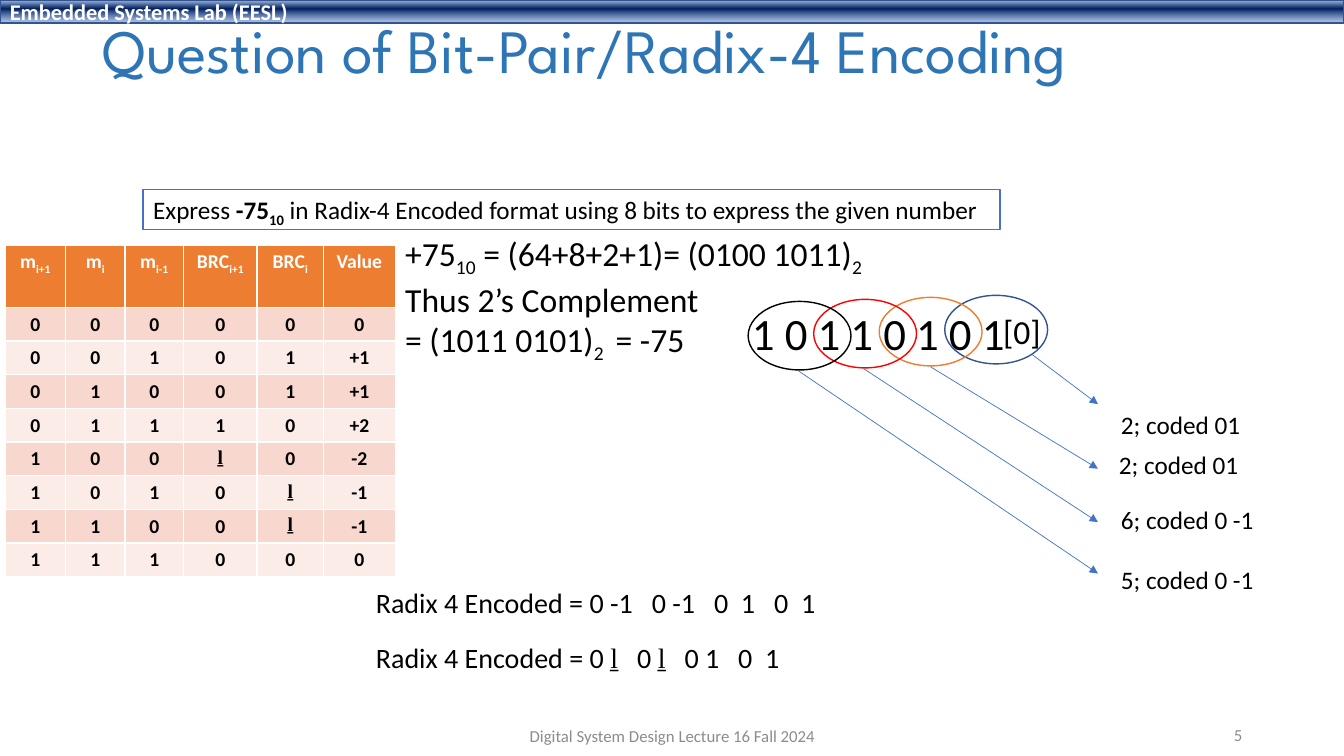
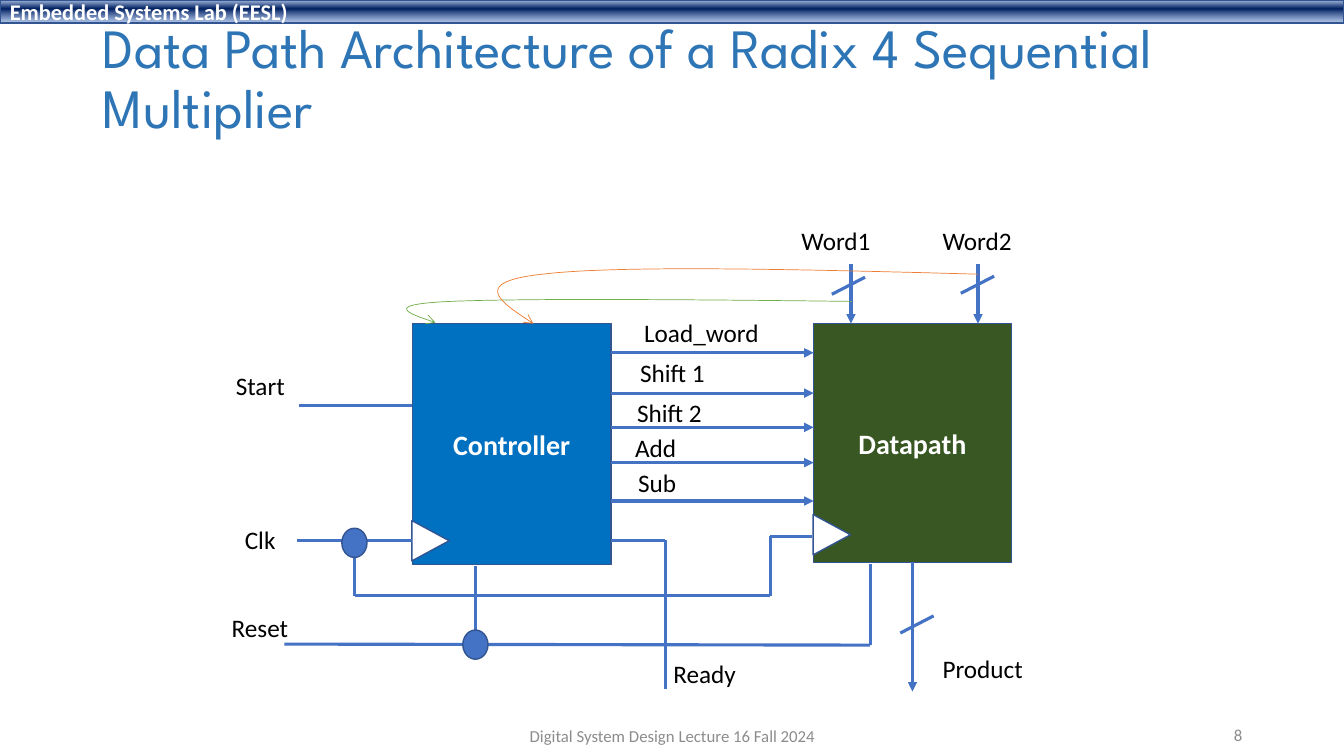
from dataclasses import dataclass
from itertools import pairwise

from lxml import etree
from pptx import Presentation
from pptx import util as u
from pptx.dml.color import RGBColor
from pptx.enum import shapes, text
from pptx.oxml.ns import qn

Inches, Pt = u.Inches, u.Pt
Point = tuple[float, float]
Box = tuple[float, float, float, float]

BODY, HEADING, SERIF = "Calibri", "League Spartan", "Times New Roman"
BLACK, WHITE, GRAY = "000000", "FFFFFF", "8C8C8C"
TITLE_BLUE, BLUE, EDGE = "2E75B6", "4472C4", "325491"
ORANGE, RED, GREEN = "ED7D31", "FF0000", "70AD47"
PEACH, PALE = "F8D7CE", "FCECE8"
BAND_STOPS = ((2, "ABC0E4", 100), (38, "002060", 100), (93, "7E9ED6", 64))
MINUS_ONE = "ḻ"


@dataclass(frozen=True)
class Run:
    """A stretch of text with its own style."""
    text: str
    sub: bool = False
    bold: bool = False
    font: str = BODY


@dataclass(frozen=True)
class Label:
    """A short line of text beside a drawing."""
    text: str
    left: float
    top: float
    width: float


@dataclass(frozen=True)
class Oval:
    """A group marker or a junction."""
    box: Box
    line: str
    fill: str | None = None


@dataclass(frozen=True)
class Block:
    """A named unit of the architecture with its clock input."""
    name: str
    box: Box
    fill: str
    clock: Point


@dataclass(frozen=True)
class Feedback:
    """A curved arrow made of cubic segments."""
    start: Point
    segments: tuple[tuple[Point, Point, Point], ...]
    color: str


def rgb(value: str) -> RGBColor:
    """Turn a hex string into a colour."""
    return RGBColor.from_string(value)


def lengths(values) -> list:
    """Turn numbers into lengths in inches."""
    return [Inches(value) for value in values]


def write(paragraph, runs, size: float, color: str = BLACK, align=None, bold: bool = False) -> None:
    """Add styled runs to a paragraph."""
    paragraph.alignment = align
    for part in runs:
        run = paragraph.add_run()
        run.text = part.text
        run.font.name, run.font.size = part.font, Pt(size)
        run.font.bold = bold or part.bold
        run.font.color.rgb = rgb(color)
        if part.sub:
            run._r.get_or_add_rPr().set("baseline", "-25000")


def add_text(slide, box: Box, paragraphs, size: float):
    """Add a box that fits its unwrapped paragraphs."""
    area = slide.shapes.add_textbox(*lengths(box))
    frame = area.text_frame
    frame.word_wrap = False
    frame.auto_size = text.MSO_AUTO_SIZE.SHAPE_TO_FIT_TEXT
    for index, runs in enumerate(paragraphs):
        write(frame.add_paragraph() if index else frame.paragraphs[0], runs, size)
    return area


def add_label(slide, label: Label) -> None:
    """Add a label."""
    add_text(slide, (label.left, label.top, label.width, 0.4), [[Run(label.text)]], 18)


def add_shape(slide, kind, box: Box, fill: str | None, line: str):
    """Add a preset shape with a thin outline."""
    shape = slide.shapes.add_shape(kind, *lengths(box))
    shape.shadow.inherit = False
    if fill:
        shape.fill.solid()
        shape.fill.fore_color.rgb = rgb(fill)
    else:
        shape.fill.background()
    shape.line.color.rgb, shape.line.width = rgb(line), Pt(1)
    return shape


def add_oval(slide, oval: Oval) -> None:
    """Add an ellipse."""
    add_shape(slide, shapes.MSO_SHAPE.OVAL, oval.box, oval.fill, oval.line)


def style_line(shape, color: str, width: float, head: str | None) -> None:
    """Set a line's colour, width and arrowhead."""
    shape.line.color.rgb, shape.line.width = rgb(color), Pt(width)
    if head:
        etree.SubElement(shape.get_or_add_ln(), qn("a:tailEnd"), type=head)


def add_line(slide, start: Point, end: Point, width: float = 2.25, head: str | None = None):
    """Add a straight connector."""
    line = slide.shapes.add_connector(shapes.MSO_CONNECTOR.STRAIGHT, *lengths(start + end))
    style_line(line, BLUE, width, head)
    etree.SubElement(line._element.spPr, qn("a:effectLst"))
    return line


def add_wire(slide, *points: Point) -> None:
    """Join points by straight connectors."""
    for start, end in pairwise(points):
        add_line(slide, start, end)


def bezier(p0: Point, p1: Point, p2: Point, p3: Point, steps: int = 30) -> list[Point]:
    """Give the points of a cubic curve after its start."""
    points = []
    for step in range(1, steps + 1):
        t = step / steps
        weights = ((1 - t) ** 3, 3 * t * (1 - t) ** 2, 3 * t * t * (1 - t), t ** 3)
        points.append(tuple(sum(w * p[axis] for w, p in zip(weights, (p0, p1, p2, p3)))
                            for axis in (0, 1)))
    return points


def add_feedback(slide, curve: Feedback) -> None:
    """Draw a curved arrow."""
    points, start = [], curve.start
    for segment in curve.segments:
        points += bezier(start, *segment)
        start = segment[-1]
    builder = slide.shapes.build_freeform(*lengths(curve.start))
    builder.add_line_segments([lengths(point) for point in points], close=False)
    arrow = builder.convert_to_shape()
    arrow.shadow.inherit = False
    arrow.fill.background()
    style_line(arrow, curve.color, 0.5, "arrow")


def add_band(slide) -> None:
    """Add the gradient band with the lab's name."""
    band = add_shape(slide, shapes.MSO_SHAPE.RECTANGLE, (0, 0, 13.33, 0.23), None, EDGE)
    band.fill.gradient()
    band.fill.gradient_angle = 270
    stops = band._element.spPr.find(".//" + qn("a:gsLst"))
    for old in list(stops):
        stops.remove(old)
    for position, color, alpha in BAND_STOPS:
        stop = etree.SubElement(stops, qn("a:gs"), pos=str(position * 1000))
        tint = etree.SubElement(stop, qn("a:srgbClr"), val=color)
        if alpha < 100:
            etree.SubElement(tint, qn("a:alpha"), val=str(alpha * 1000))
    band.text_frame.vertical_anchor = text.MSO_ANCHOR.MIDDLE
    write(band.text_frame.paragraphs[0], [Run("Embedded Systems Lab (EESL)")], 16, WHITE,
          text.PP_ALIGN.LEFT, bold=True)


def add_footer(slide, content: str, box: Box, align) -> None:
    """Add a grey footer text."""
    frame = slide.shapes.add_textbox(*lengths(box)).text_frame
    frame.word_wrap = True
    frame.vertical_anchor = text.MSO_ANCHOR.MIDDLE
    write(frame.paragraphs[0], [Run(content)], 12, GRAY, align)


def start_slide(deck, heading: str, size: float, height: float, number: int):
    """Add a slide with band, title and footers."""
    slide = deck.slides.add_slide(deck.slide_layouts[5])
    add_band(slide)
    title = slide.shapes.title
    title.left, title.top, title.width, title.height = lengths((0.92, 0.15, 11.5, height))
    frame = title.text_frame
    frame.word_wrap = True
    frame.auto_size = text.MSO_AUTO_SIZE.NONE
    frame.vertical_anchor = text.MSO_ANCHOR.MIDDLE
    frame.paragraphs[0].line_spacing = 0.9
    write(frame.paragraphs[0], [Run(heading, font=HEADING)], size, TITLE_BLUE, text.PP_ALIGN.LEFT)
    add_footer(slide, "Digital System Design Lecture 16 Fall 2024", (4.42, 7.1, 4.5, 0.4),
               text.PP_ALIGN.CENTER)
    add_footer(slide, str(number), (9.42, 7.09, 3, 0.4), text.PP_ALIGN.RIGHT)
    return slide


def add_recoding_table(slide) -> None:
    """Add the bit-pair recoding table."""
    header = (("m", "i+1"), ("m", "i"), ("m", "i-1"), ("BRC", "i+1"), ("BRC", "i"), ("Value", ""))
    codes = (("0", "0", "0"), ("0", "1", "+1"), ("0", "1", "+1"), ("1", "0", "+2"),
             (MINUS_ONE, "0", "-2"), ("0", MINUS_ONE, "-1"), ("0", MINUS_ONE, "-1"), ("0", "0", "0"))
    rows = [[[Run(name)] + ([Run(index, sub=True)] if index else []) for name, index in header]]
    for bits, code in enumerate(codes):
        rows.append([[Run(value, font=SERIF if value == MINUS_ONE else BODY)]
                     for value in (*f"{bits:03b}", *code)])
    table = slide.shapes.add_table(len(rows), len(header),
                                   *lengths((0.05, 2.43, 3.87, 3.26))).table
    for column, width in zip(table.columns, (0.6, 0.59, 0.58, 0.73, 0.66, 0.71)):
        column.width = Inches(width)
    for index, row in enumerate(rows):
        table.rows[index].height = Inches(0.33 if index else 0.62)
        fill = (PEACH if index % 2 else PALE) if index else ORANGE
        for cell, runs in zip(table.rows[index].cells, row):
            cell.fill.solid()
            cell.fill.fore_color.rgb = rgb(fill)
            write(cell.text_frame.paragraphs[0], runs, 14, BLACK if index else WHITE,
                  text.PP_ALIGN.CENTER, bold=True)


def build_encoding(deck) -> None:
    """Build the bit-pair encoding question."""
    slide = start_slide(deck, "Question of Bit-Pair/Radix-4 Encoding", 44, 0.77, 5)
    task = [Run("Express "), Run("-75", bold=True), Run("10", sub=True, bold=True),
            Run(" in Radix-4 Encoded format using 8 bits to express the given number")]
    question = add_text(slide, (1.42, 1.88, 8.5, 0.4), [task], 18)
    question.fill.solid()
    question.fill.fore_color.rgb = rgb(WHITE)
    question.line.color.rgb, question.line.width = rgb(BLUE), Pt(1)
    add_text(slide, (3.92, 2.26, 4.81, 1.31), [
        [Run("+75"), Run("10", sub=True), Run(" = (64+8+2+1)= (0100 1011)"), Run("2", sub=True)],
        [Run("Thus 2’s Complement")],
        [Run("= (1011 0101)"), Run("2 ", sub=True), Run(" = -75")]], 24)
    add_text(slide, (7.36, 2.98, 2.74, 0.64), [[Run("1 0 1 1 0 1 0 1")]], 32)
    add_text(slide, (9.85, 3.04, 0.58, 0.5), [[Run("[0]")]], 24)
    for step, color in enumerate((EDGE, ORANGE, RED, BLACK)):
        add_oval(slide, Oval((9.37 - 0.65 * step, 2.93 + 0.02 * step, 1.02, 0.68), color))
    for start, end_y in (((10.24, 3.52), 4.01), ((9.23, 3.64), 4.65),
                         ((8.57, 3.66), 5.18), ((7.92, 3.68), 5.69)):
        add_line(slide, start, (10.89, end_y), 0.5, "triangle")
    for code in (Label("2; coded 01", 11.02, 4.01, 1.4), Label("2; coded 01", 11, 4.41, 1.4),
                 Label("6; coded 0 -1", 11.02, 4.95, 1.54), Label("5; coded 0 -1", 11.02, 5.55, 1.54)):
        add_label(slide, code)
    add_text(slide, (3.63, 5.76, 4.66, 0.44), [[Run("Radix 4 Encoded = 0 -1   0 -1   0  1   0  1")]], 20)
    digit = Run(MINUS_ONE, font=SERIF)
    add_text(slide, (3.63, 6.31, 4.29, 0.44), [
        [Run("Radix 4 Encoded = 0 "), digit, Run("   0 "), digit, Run("   0 1   0  1")]], 20)
    add_recoding_table(slide)


def add_block(slide, block: Block):
    """Add a unit with its name and clock triangle."""
    unit = add_shape(slide, shapes.MSO_SHAPE.RECTANGLE, block.box, block.fill, EDGE)
    unit.text_frame.vertical_anchor = text.MSO_ANCHOR.MIDDLE
    write(unit.text_frame.paragraphs[0], [Run(block.name)], 20, WHITE, text.PP_ALIGN.CENTER, bold=True)
    clock = add_shape(slide, shapes.MSO_SHAPE.ISOSCELES_TRIANGLE, (*block.clock, 0.4, 0.37), WHITE, EDGE)
    clock.rotation = 90
    return unit


def build_architecture(deck) -> None:
    """Build the controller and datapath diagram."""
    slide = start_slide(deck, "Data Path Architecture of a Radix 4 Sequential Multiplier", 39.6, 1.3, 8)
    add_block(slide, Block("Controller", (4.09, 3.21, 1.97, 2.39), "0070C0", (4.07, 5.18)))
    datapath = add_block(slide, Block("Datapath", (8.07, 3.21, 1.96, 2.37), "385723", (8.05, 5.12)))
    for y in (3.5, 3.9, 4.24, 4.59, 4.97):
        add_line(slide, (6.06, y), (8.07, y), head="triangle")
    for x in (8.44, 9.7):
        add_line(slide, (x, 2.62), (x, 3.21), head="triangle")
    product = add_line(slide, (9.05, 5.58), (9.05, 6.86), head="triangle")
    product.begin_connect(datapath, 2)
    for x, y in ((8.25, 2.92), (9.53, 2.91), (8.93, 6.28)):
        add_line(slide, (x, y), (x + 0.33, y - 0.17))
    add_wire(slide, (2.97, 4.02), (4.09, 4.02))
    add_wire(slide, (2.95, 5.36), (4.09, 5.36))
    add_wire(slide, (3.52, 5.36), (3.52, 5.91), (7.64, 5.91), (7.64, 5.32), (8.05, 5.32))
    add_wire(slide, (4.72, 5.62), (4.72, 6.42))
    add_wire(slide, (2.82, 6.39), (8.63, 6.4), (8.63, 5.6))
    add_wire(slide, (6.06, 5.36), (6.6, 5.36), (6.6, 6.84))
    for left, top in ((3.39, 5.24), (4.59, 6.25)):
        add_oval(slide, Oval((left, top, 0.25, 0.29), EDGE, BLUE))
    for signal in (Label("Load_word", 6.29, 3.1, 1.35), Label("Shift 1", 6.25, 3.5, 0.86),
                   Label("Shift 2", 6.22, 3.89, 0.86), Label("Add", 6.2, 4.24, 0.61),
                   Label("Sub", 6.23, 4.59, 0.58), Label("Start", 2.24, 3.62, 0.69),
                   Label("Clk", 2.33, 5.15, 0.51), Label("Reset", 2.2, 6.03, 0.77),
                   Label("Word1", 7.85, 2.19, 0.89), Label("Word2", 9.25, 2.19, 0.89),
                   Label("Product", 9.25, 6.43, 1.01), Label("Ready", 6.58, 6.48, 0.83)):
        add_label(slide, signal)
    add_feedback(slide, Feedback((8.45, 2.99), (((6.8, 2.97), (5.16, 2.96), (4.47, 2.99)),
                                                ((3.78, 3.02), (4.05, 3.11), (4.32, 3.2))), GREEN))
    add_feedback(slide, Feedback((9.7, 2.72), (((7.91, 2.67), (6.12, 2.63), (5.38, 2.72)),
                                               ((4.65, 2.8), (4.97, 3), (5.29, 3.21))), ORANGE))


def main() -> None:
    """Build and save the deck."""
    deck = Presentation()
    deck.slide_width, deck.slide_height = Inches(13.33), Inches(7.5)
    build_encoding(deck)
    build_architecture(deck)
    deck.save("out.pptx")


if __name__ == "__main__":
    main()
